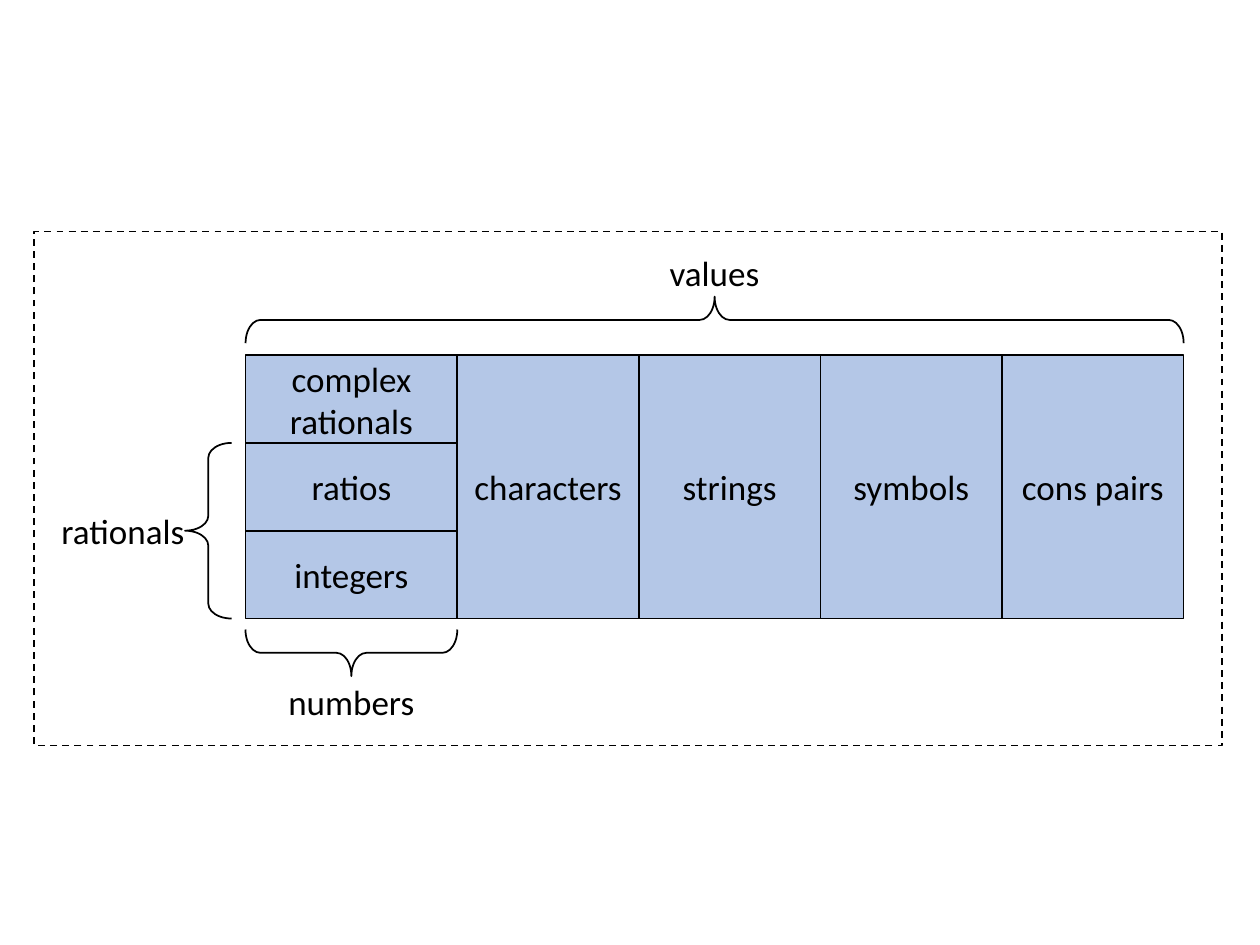
"""Draw the partition of values into numbers, characters, strings, symbols and cons pairs."""
from dataclasses import dataclass

from pptx import Presentation
from pptx import util as u
from pptx.dml.color import RGBColor
from pptx.enum import dml, shapes, text


@dataclass(frozen=True)
class Theme:
    ink: RGBColor = RGBColor(0x00, 0x00, 0x00)
    cell: RGBColor = RGBColor(0xB4, 0xC7, 0xE7)
    font: str = "Calibri"
    size: int = 20
    line: float = 1


def set_text(tf, words, *, font, size, color, wrap=True):
    tf.word_wrap = wrap
    tf.vertical_anchor = text.MSO_ANCHOR.MIDDLE
    p = tf.paragraphs[0]
    p.alignment = text.PP_ALIGN.CENTER
    r = p.add_run()
    r.text = words
    r.font.name = font
    r.font.size = u.Pt(size)
    r.font.color.rgb = color


class Diagram:
    def __init__(self, s, theme):
        self.s = s
        self.theme = theme

    def group(self):
        return Diagram(self.s.shapes.add_group_shape(), self.theme)

    def caption(self, sp, words, wrap=True):
        t = self.theme
        set_text(sp.text_frame, words, font=t.font, size=t.size, color=t.ink, wrap=wrap)

    def shape(self, kind, x, y, w, h, fill=None):
        sp = self.s.shapes.add_shape(kind, u.Cm(x), u.Cm(y), u.Cm(w), u.Cm(h))
        sp.shadow.inherit = False
        if fill is None:
            sp.fill.background()
        else:
            sp.fill.solid()
            sp.fill.fore_color.rgb = fill
        sp.line.color.rgb = self.theme.ink
        sp.line.width = u.Pt(self.theme.line)
        return sp

    def cell(self, words, x, y, w, h):
        sp = self.shape(shapes.MSO_SHAPE.RECTANGLE, x, y, w, h, self.theme.cell)
        self.caption(sp, words)

    def frame(self, x, y, w, h):
        sp = self.shape(shapes.MSO_SHAPE.RECTANGLE, x, y, w, h)
        sp.line.dash_style = dml.MSO_LINE.DASH

    def brace(self, cx, cy, span, depth=0.94, rotation=0):
        sp = self.shape(shapes.MSO_SHAPE.LEFT_BRACE,
                        cx - depth / 2, cy - span / 2, depth, span)
        sp.adjustments[0] = 0.32
        sp.rotation = rotation

    def label(self, words, cx, cy, w, h=1.11):
        sp = self.s.shapes.add_textbox(u.Cm(cx - w / 2), u.Cm(cy - h / 2), u.Cm(w), u.Cm(h))
        self.caption(sp, words, wrap=False)
        sp.text_frame.auto_size = text.MSO_AUTO_SIZE.SHAPE_TO_FIT_TEXT


def main():
    prs = Presentation()
    prs.slide_width, prs.slide_height = u.Cm(25.4), u.Cm(19.05)
    d = Diagram(prs.slides.add_slide(prs.slide_layouts[6]), Theme())

    left, top = 4.95, 7.16
    number_w, column_w, row_h = 4.27, 3.66, 1.77
    numbers = ["complex rationals", "ratios", "integers"]
    others = ["characters", "strings", "symbols", "cons pairs"]
    height = row_h * len(numbers)
    width = number_w + column_w * len(others)
    middle, number_mid = left + width / 2, left + number_w / 2
    rational_mid = top + 2 * row_h

    d.label("values", middle, 5.49, 2.34)
    d.brace(middle, top - 0.71, width, rotation=90)
    for i, words in enumerate(numbers):
        d.cell(words, left, top + i * row_h, number_w, row_h)
    for i, words in enumerate(others):
        d.cell(words, left + number_w + i * column_w, top, column_w, height)

    g = d.group()
    g.label("rationals", 2.48, rational_mid, 3.02)
    g.brace(left - 0.75, rational_mid, 2 * row_h)

    g = d.group()
    g.brace(number_mid, top + height + 0.69, number_w, rotation=270)
    g.label("numbers", number_mid, 14.15, 3.07)

    d.frame(0.69, 4.67, 23.95, 10.36)
    prs.save("out.pptx")


if __name__ == "__main__":
    main()
